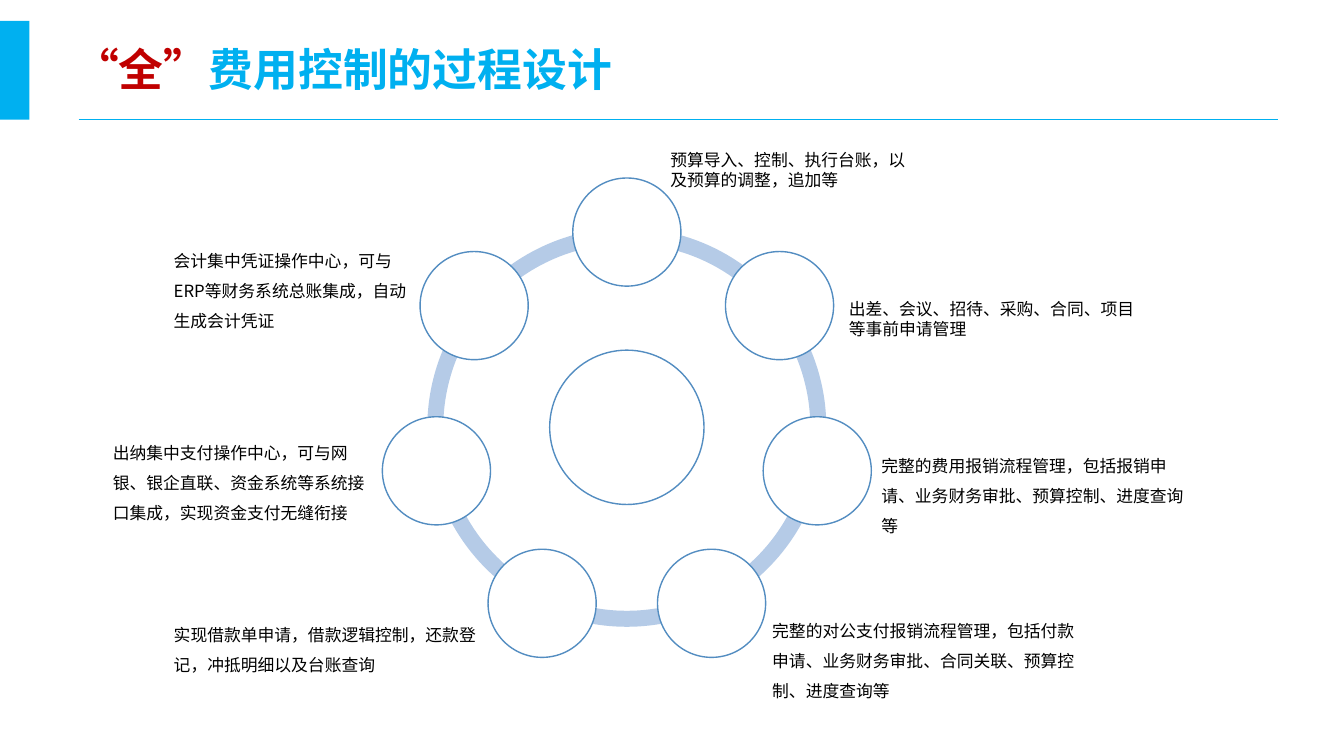
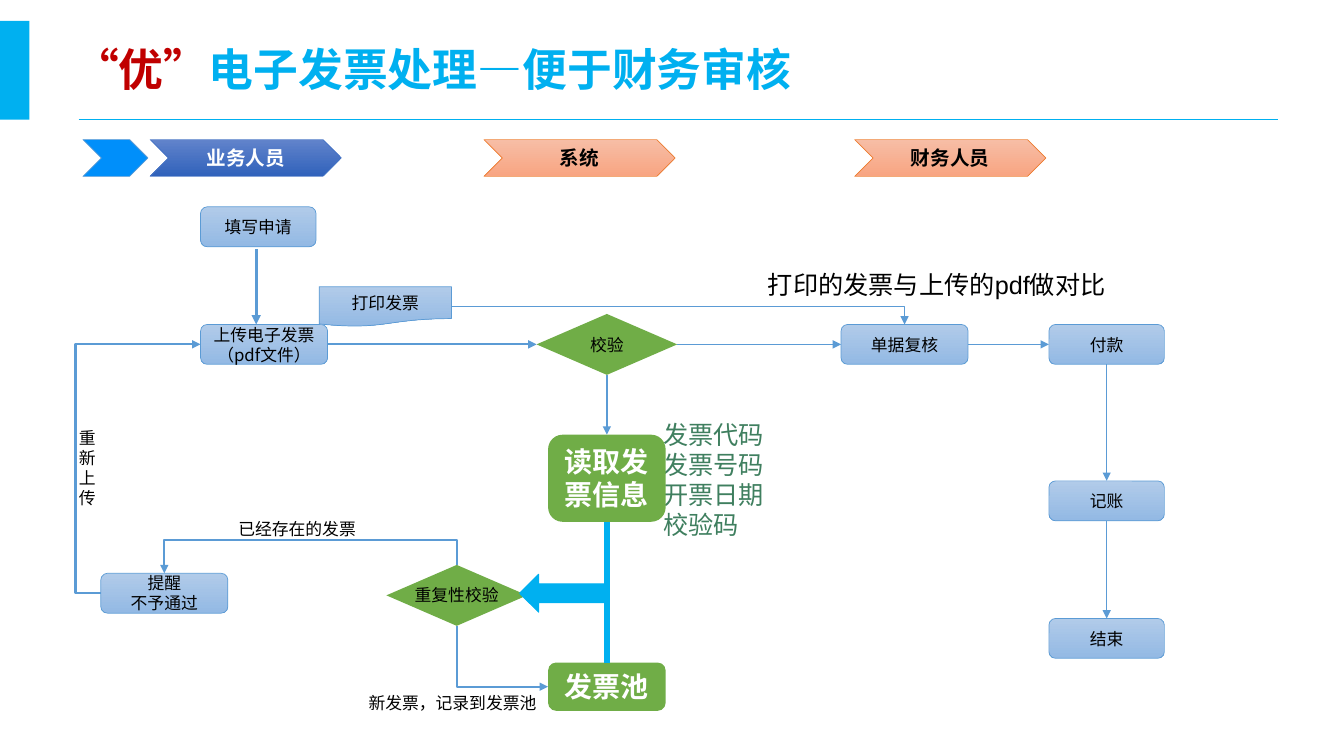
"""Build two slides on expense control and electronic invoice handling."""
import math

import pptx
import pptx.dml.color
import pptx.enum.shapes
import pptx.enum.text
import pptx.oxml
import pptx.oxml.ns
import pptx.util

PX = 9525
FONT = "Noto Sans CJK SC"
LINE_HEIGHT = 1.19
COLORS = {
    "accent": "00B0F0", "mark": "C00000", "text": "000000", "white": "FFFFFF",
    "ring": "B5CBE7", "ring_line": "538DC1", "flow": "5B9BD5", "green": "70AD47",
    "code": "3F7F5F", "lead": "008FFA", "user_line": "4472C4", "role_line": "ED7D31",
}
GRADIENTS = {
    "box": ("B1CBE9", "93B9E4"),
    "user": ("6183CB", "3062BB"),
    "role": ("F7BDA5", "F8A582"),
}
SHAPE = pptx.enum.shapes.MSO_SHAPE
ALIGN = pptx.enum.text.PP_ALIGN
ANCHOR = pptx.enum.text.MSO_ANCHOR
TOP, LEFT, BOTTOM, RIGHT = range(4)


def px(*values):
    return [pptx.util.Emu(round(v * PX)) for v in values]


def rgb(name):
    return pptx.dml.color.RGBColor.from_string(COLORS[name])


def sub(parent, tag, **attrs):
    el = pptx.oxml.parse_xml("<%s %s/>" % (tag, pptx.oxml.ns.nsdecls("a")))
    for key, value in attrs.items():
        el.set(key, str(value))
    parent.append(el)
    return el


def add_run(p, text, size=12, color="text", bold=False, font=FONT):
    r = p.add_run()
    r.text = text
    r.font.size = pptx.util.Pt(size)
    r.font.bold = bold
    r.font.color.rgb = rgb(color)
    r.font.name = font
    sub(r._r.get_or_add_rPr(), "a:ea", typeface=FONT)


def write(tf, text, align=ALIGN.LEFT, spacing=1, size=12, **fmt):
    for i, line in enumerate(text.split("\n")):
        p = tf.add_paragraph() if i else tf.paragraphs[0]
        p.alignment = align
        p.line_spacing = pptx.util.Pt(round(size * LINE_HEIGHT * spacing, 1))
        p._p.get_or_add_pPr().set("hangingPunct", "0")
        add_run(p, line, size=size, **fmt)


def add_text(s, box, text, wrap=False, **fmt):
    tf = s.shapes.add_textbox(*px(*box)).text_frame
    tf.word_wrap = wrap
    write(tf, text, **fmt)


def add_shape(s, kind, box, fill, line=None, weight=0.5, text="", wrap=True, **fmt):
    sp = s.shapes.add_shape(kind, *px(*box))
    sp.shadow.inherit = False
    if fill in GRADIENTS:
        sp.fill.gradient()
        sp.fill.gradient_angle = 270
        for stop, color in zip(sp.fill.gradient_stops, GRADIENTS[fill]):
            stop.color.rgb = pptx.dml.color.RGBColor.from_string(color)
    else:
        sp.fill.solid()
        sp.fill.fore_color.rgb = rgb(fill)
    if line:
        sp.line.color.rgb = rgb(line)
        sp.line.width = pptx.util.Pt(weight)
    else:
        sp.line.fill.background()
    if text:
        tf = sp.text_frame
        tf.word_wrap = wrap
        tf.vertical_anchor = ANCHOR.MIDDLE
        tf.margin_left = tf.margin_right = px(6)[0]
        tf.margin_top = tf.margin_bottom = 0
        write(tf, text, align=ALIGN.CENTER, **fmt)
    return sp


def add_line(s, a, b, color="flow", weight=0.5, arrow=True, kind="STRAIGHT"):
    kind = getattr(pptx.enum.shapes.MSO_CONNECTOR, kind)
    cxn = s.shapes.add_connector(kind, *px(*a, *b))
    cxn.line.color.rgb = rgb(color)
    cxn.line.width = pptx.util.Pt(weight)
    if arrow:
        sub(cxn.line._get_or_add_ln(), "a:tailEnd", type="triangle")
    sub(cxn.element.spPr, "a:effectLst")
    return cxn


def site(sp, side):
    """Return the px point in the middle of one side of a shape."""
    dx, dy = [(0.5, 0), (0, 0.5), (0.5, 1), (1, 0.5)][side]
    return (sp.left + sp.width * dx) / PX, (sp.top + sp.height * dy) / PX


def link(s, start, side_a, end, side_b, weight=0.5):
    cxn = add_line(s, site(start, side_a), site(end, side_b), weight=weight)
    cxn.begin_connect(start, side_a)
    cxn.end_connect(end, side_b)


def add_elbow(s, a, b, weight=1.5, vertical=False, bend=None):
    """Draw an arrow with one corner, or two when it turns at the bend position."""
    axis = 1 if vertical else 0
    adj = None if bend is None else (bend - a[axis]) / (b[axis] - a[axis])
    if vertical:
        cx, cy = (a[0] + b[0]) / 2, (a[1] + b[1]) / 2
        a, b = [(cx - (y - cy), cy + (x - cx)) for x, y in (a, b)]
    cxn = add_line(s, a, b, weight=weight, kind="ELBOW")
    spPr = cxn.element.spPr
    if vertical:
        spPr.find(pptx.oxml.ns.qn("a:xfrm")).set("rot", str(270 * 60000))
    geom = spPr.find(pptx.oxml.ns.qn("a:prstGeom"))
    if adj is None:
        geom.set("prst", "bentConnector2")
    else:
        guides = geom.find(pptx.oxml.ns.qn("a:avLst"))
        sub(guides, "a:gd", name="adj1", fmla="val %d" % round(adj * 100000))


def setup_layout(prs, layout):
    """Put title, band and rule on the layout and return its first slide."""
    for ph in list(layout.placeholders):
        if ph.placeholder_format.type != pptx.enum.shapes.PP_PLACEHOLDER.TITLE:
            ph.element.getparent().remove(ph.element)
            continue
        ph.left, ph.top, ph.width, ph.height = px(61, 22, 1150, 88)
        ph.text_frame.vertical_anchor = ANCHOR.MIDDLE
        ph.text_frame.auto_size = pptx.enum.text.MSO_AUTO_SIZE.NONE
    s = prs.slides.add_slide(layout)
    band = add_shape(s, SHAPE.RECTANGLE, (0, 20, 28, 94), "accent")
    rule = add_line(s, (75, 114), (1217, 114), "accent", arrow=False)
    for sp in (band, rule):
        layout.shapes.element.append(sp.element)
    return s


def add_title(s, mark, text):
    p = s.shapes.title.text_frame.paragraphs[0]
    p.alignment = ALIGN.LEFT
    p.line_spacing = pptx.util.Pt(38)
    add_run(p, mark, size=32, color="mark", bold=True)
    add_run(p, text, size=32, color="accent", bold=True)


def add_circle(s, cx, cy, d):
    add_shape(s, SHAPE.OVAL, (cx - d / 2, cy - d / 2, d, d), "white", "ring_line", 1)


def build_process(s):
    add_title(s, "“全”", "费用控制的过程设计")
    cx, cy, size, orbit, count = 597, 407, 380, 186, 7
    angles = [270 + i * 360 / count for i in range(count + 1)]
    for start, end in zip(angles, angles[1:]):
        box = (cx - size / 2, cy - size / 2, size, size)
        arc = add_shape(s, SHAPE.BLOCK_ARC, box, "ring")
        for i, value in enumerate((start % 360 * 0.6, end % 360 * 0.6, 0.04)):
            arc.adjustments[i] = value
    add_circle(s, cx, cy, 147)
    for angle in angles[:-1]:
        t = math.radians(angle)
        add_circle(s, cx + orbit * math.cos(t), cy + orbit * math.sin(t), 103)
    notes = [
        (629, 138, 245, 48, 1, "预算导入、控制、执行台账，以及预算的调整，追加等"),
        (799, 280, 298, 48, 1, "出差、会议、招待、采购、合同、项目等事前申请管理"),
        (830, 420, 312, 97, 1.5, "完整的费用报销流程管理，包括报销申请、业务财务审批、预算控制、进度查询等"),
        (726, 577, 312, 97, 1.5, "完整的对公支付报销流程管理，包括付款申请、业务财务审批、合同关联、预算控制、进度查询等"),
        (156, 581, 312, 68, 1.5, "实现借款单申请，借款逻辑控制，还款登记，冲抵明细以及台账查询"),
        (98, 408, 273, 97, 1.5, "出纳集中支付操作中心，可与网银、银企直联、资金系统等系统接口集成，实现资金支付无缝衔接"),
        (156, 225, 252, 97, 1.5, "会计集中凭证操作中心，可与ERP等财务系统总账集成，自动生成会计凭证"),
    ]
    for *box, spacing, text in notes:
        add_text(s, box, text, wrap=True, spacing=spacing)


def add_step(s, x, y, w, text, kind=SHAPE.ROUNDED_RECTANGLE):
    return add_shape(s, kind, (x, y, w, 38), "box", "flow", text=text)


def add_check(s, x, y, text):
    box = (x, y, 134, 58)
    return add_shape(s, SHAPE.FLOWCHART_DECISION, box, "green", text=text, wrap=False)


def add_store(s, y, h, text):
    return add_shape(s, SHAPE.ROUNDED_RECTANGLE, (522, y, 112, h), "green",
                     text=text, size=20, color="white", bold=True)


def build_invoice(s):
    add_title(s, "“优”", "电子发票处理—便于财务审核")
    roles = [(143, "业务人员", "user", "white"), (461, "系统", "role", "text"),
             (814, "财务人员", "role", "text")]
    for x, text, style, color in roles:
        add_shape(s, SHAPE.CHEVRON, (x, 133, 182, 35), style, style + "_line",
                  text=text, size=14, color=color, bold=True)
    add_shape(s, SHAPE.CHEVRON, (79, 133, 62, 35), "lead", "flow")

    add_step(s, 191, 197, 110, "填写申请")
    upload = add_step(s, 191, 309, 121, "上传电子发票\n（pdf文件）")
    printed = add_step(s, 304, 273, 126, "打印发票", SHAPE.FLOWCHART_DOCUMENT)
    add_line(s, (244, 237), (244, 309), weight=2.25)
    remind = add_step(s, 96, 546, 121, "提醒\n不予通过")
    review = add_step(s, 801, 309, 121, "单据复核")
    pay, book, finish = [add_step(s, 999, y, 110, text) for y, text in
                         ((309, "付款"), (458, "记账"), (589, "结束"))]
    check = add_check(s, 511, 299, "校验")

    add_text(s, (622, 395, 116, 126), "发票代码\n发票号码\n开票日期\n校验码",
             size=18, color="code", font="Courier New")
    read = add_store(s, 414, 83, "读取发票信息")
    pool = add_store(s, 631, 46, "发票池")
    duplicate = add_check(s, 368, 538, "重复性校验")
    add_line(s, site(read, BOTTOM), site(pool, TOP), "accent", 4.5, arrow=False)
    arrow = add_shape(s, SHAPE.RIGHT_ARROW, (495, 547, 82, 36), "accent", "accent", 0.75)
    arrow.rotation = 180

    link(s, upload, RIGHT, check, LEFT, 1.5)
    link(s, check, BOTTOM, read, TOP, 1.5)
    link(s, check, RIGHT, review, LEFT)
    link(s, review, RIGHT, pay, LEFT)
    link(s, pay, BOTTOM, book, TOP)
    link(s, book, BOTTOM, finish, TOP)
    add_elbow(s, site(remind, LEFT), site(upload, LEFT), bend=72)
    add_elbow(s, site(duplicate, TOP), site(remind, TOP), vertical=True, bend=514)
    add_elbow(s, site(duplicate, BOTTOM), site(pool, LEFT), vertical=True)
    add_elbow(s, site(printed, RIGHT), site(review, TOP), weight=0.5)

    labels = [(217, 489, 132, 29, "已经存在的发票"), (341, 655, 180, 29, "新发票，记录到发票池"),
              (65, 403, 36, 87, "重\n新\n上\n传")]
    for *box, text in labels:
        add_text(s, box, text, align=ALIGN.CENTER)
    add_text(s, (722, 252, 344, 67), "打印的发票与上传的pdf做对比", wrap=True,
             size=18, font="Arial")


def main():
    prs = pptx.Presentation()
    prs.slide_width, prs.slide_height = px(1280, 720)
    layout = prs.slide_layouts.get_by_name("Title Only")
    build_process(setup_layout(prs, layout))
    build_invoice(prs.slides.add_slide(layout))
    prs.save("out.pptx")


if __name__ == "__main__":
    main()
